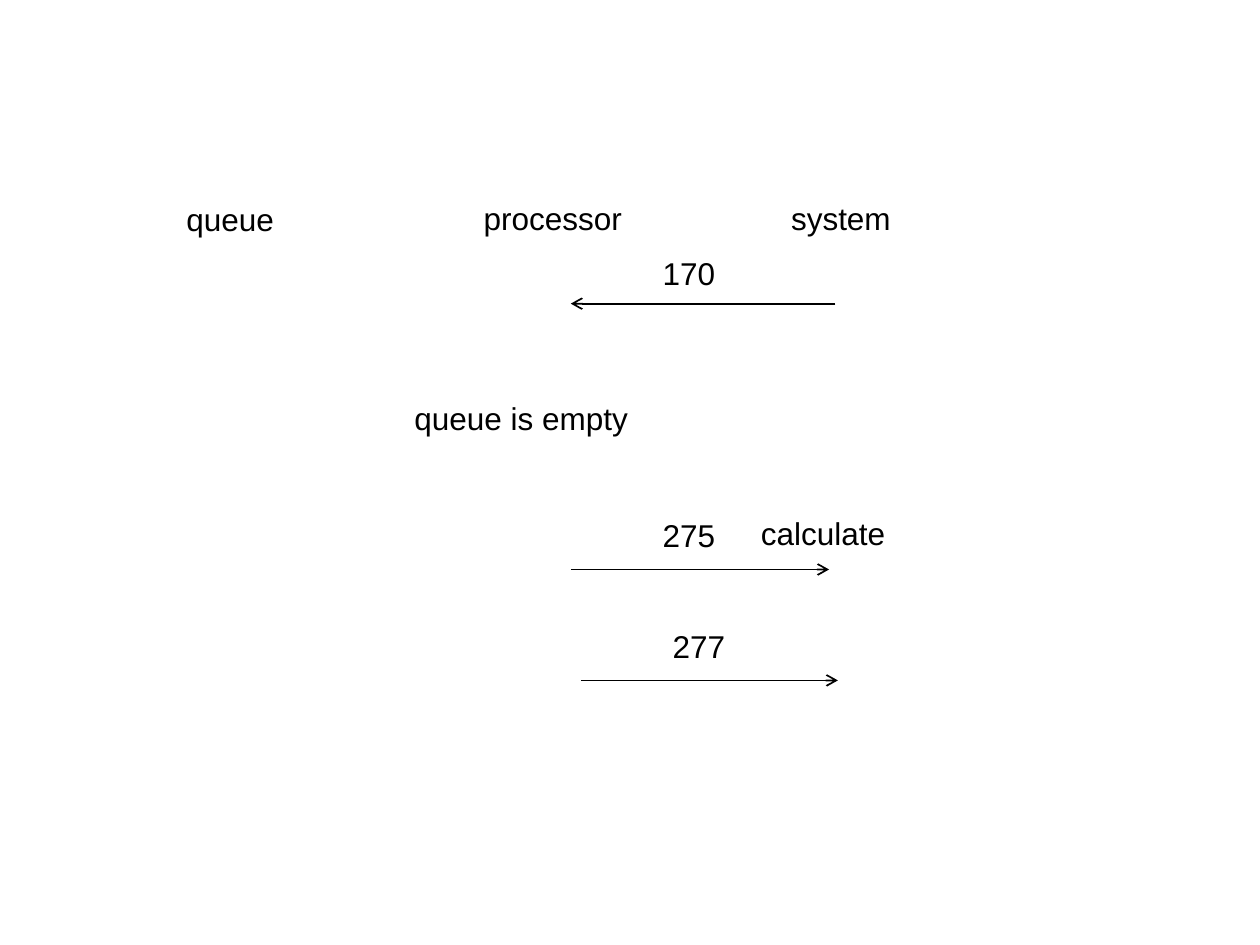
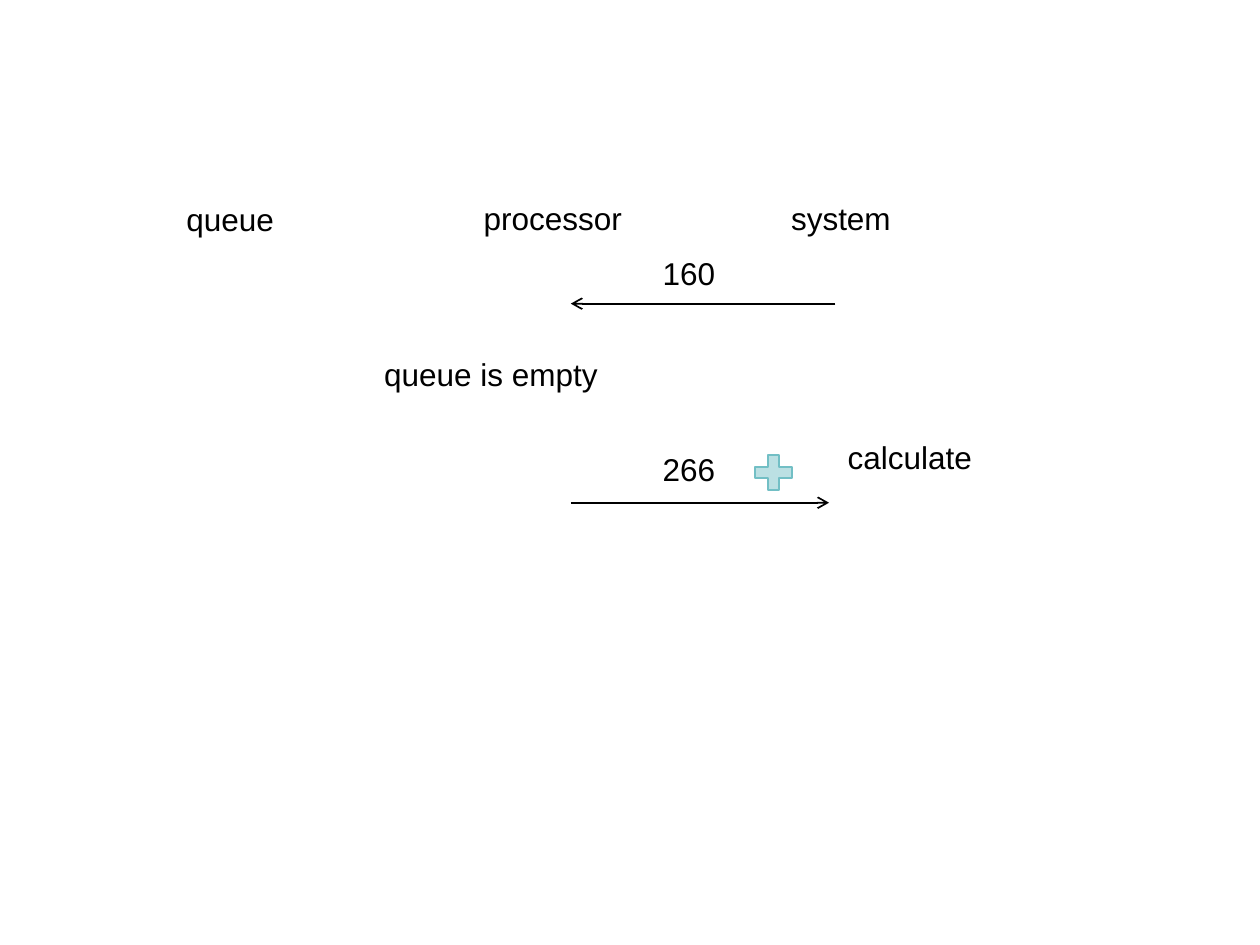
import pptx
import pptx.dml.color
import pptx.enum.shapes
import pptx.enum.text
import pptx.oxml.ns
import pptx.util
import lxml.etree

Inches = pptx.util.Inches
BLACK = "000000"
TEAL = "BBE0E3"
EDGE = "72BFC5"


def color(code):
    return pptx.dml.color.RGBColor.from_string(code)


def write(frame, text, size=18, font="Arial", ink=BLACK):
    part = frame.paragraphs[0]
    part.text = text
    part.font.size = pptx.util.Pt(size)
    part.font.name = font
    part.font.color.rgb = color(ink)


class Deck:
    def __init__(self):
        self.show = pptx.Presentation()
        self.show.slide_width = Inches(10)
        self.show.slide_height = Inches(7.5)
        self.slide = None

    def page(self):
        self.slide = self.show.slides.add_slide(self.show.slide_layouts[6])
        self.label("queue", 1.38, 1.54)
        self.label("processor", 3.74, 1.53)
        self.label("system", 6.18, 1.53)

    def label(self, text, left, top, width=1.58):
        box = self.slide.shapes.add_textbox(
            Inches(left), Inches(top), Inches(width), Inches(0.4))
        frame = box.text_frame
        frame.word_wrap = True
        frame.auto_size = pptx.enum.text.MSO_AUTO_SIZE.SHAPE_TO_FIT_TEXT
        write(frame, text)

    def arrow(self, start, end, level):
        line = self.slide.shapes.add_connector(
            pptx.enum.shapes.MSO_CONNECTOR.STRAIGHT,
            Inches(start), Inches(level), Inches(end), Inches(level))
        line.line.color.rgb = color(BLACK)
        line.line.width = pptx.util.Pt(1)
        name = pptx.oxml.ns.qn
        lxml.etree.SubElement(line.line._get_or_add_ln(), name("a:tailEnd"), type="arrow")
        lxml.etree.SubElement(line._element.spPr, name("a:effectLst"))

    def signal(self, text, start, end, level, rise=0.47):
        self.arrow(start, end, level)
        self.label(text, min(start, end) + 0.63, level - rise, 1.42)

    def plus(self, left, top, width, height):
        shape = self.slide.shapes.add_shape(
            pptx.enum.shapes.MSO_SHAPE.MATH_PLUS,
            Inches(left), Inches(top), Inches(width), Inches(height))
        shape.shadow.inherit = False
        shape.fill.solid()
        shape.fill.fore_color.rgb = color(TEAL)
        shape.line.color.rgb = color(EDGE)
        shape.line.width = pptx.util.Pt(1)


def main():
    deck = Deck()

    deck.page()
    deck.signal("170", 6.63, 4.53, 2.41, rise=0.44)
    deck.label("queue is empty", 3.19, 3.12, 3.33)
    deck.signal("275", 4.53, 6.58, 4.52)
    deck.signal("277", 4.61, 6.65, 5.4)
    deck.label("calculate", 5.94, 4.03, 3.33)

    deck.page()
    deck.signal("160", 6.63, 4.53, 2.41, rise=0.44)
    deck.label("queue is empty", 2.95, 2.77, 3.33)
    deck.signal("266", 4.53, 6.58, 3.99)
    deck.plus(5.94, 3.56, 0.4, 0.38)
    deck.label("calculate", 6.63, 3.43, 3.33)

    deck.show.save("out.pptx")


if __name__ == "__main__":
    main()
